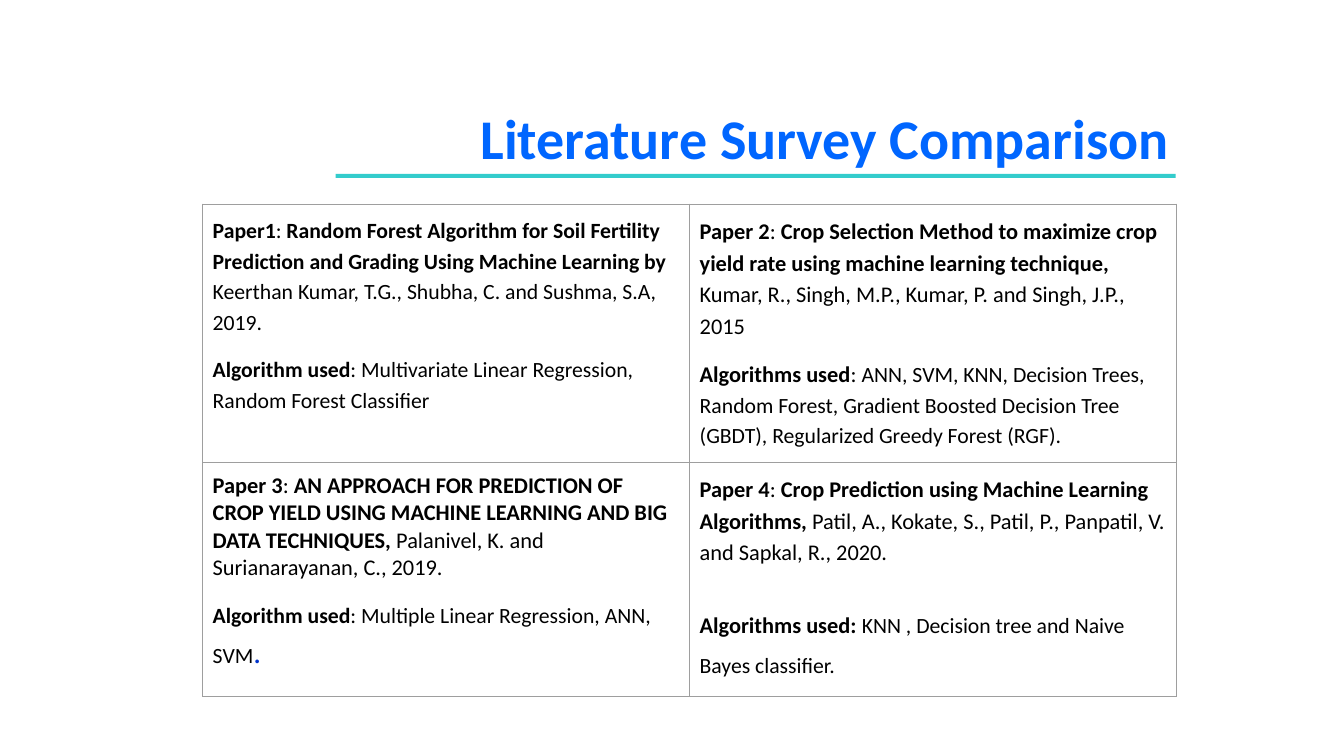
from lxml import etree
from pptx import Presentation
from pptx import util as u
from pptx.dml.color import RGBColor
from pptx.enum import shapes, text
from pptx.oxml.ns import qn

WIDTH, HEIGHT = 13.33, 7.5
FONT = "Calibri"
COLORS = {"title": "0066FF", "rule": "33CCCC", "text": "000000",
          "border": "9E9E9E", "stop": "0033CC"}

# Each paragraph: line spacing, space before, size, runs of (text, bold[, size[, colour]])
PAPERS = [
    [
        [
            (1.15, 0, 15.5, [
                ("Paper1", True), (":", False),
                (" Random Forest Algorithm for Soil Fertility Prediction and Grading "
                 "Using Machine Learning by ", True),
                ("Keerthan Kumar, T.G., Shubha, C. and Sushma, S.A, 2019.", False)]),
            (1.15, 12, 15.5, [
                ("Algorithm used", True),
                (": Multivariate Linear Regression, Random Forest Classifier", False)]),
        ],
        [
            (1.15, 0, 16, [
                ("Paper 2", True), (": ", False),
                ("Crop Selection Method to maximize crop yield rate using machine "
                 "learning technique, ", True),
                ("Kumar, R., Singh, M.P., Kumar, P. and Singh, J.P., 2015", False)]),
            (1.15, 12, 16, [
                ("Algorithms used", True), (": ", False),
                ("ANN, SVM, KNN, Decision Trees, Random Forest, Gradient Boosted Decision "
                 "Tree (GBDT), Regularized Greedy Forest (RGF).", False, 15.5)]),
        ],
    ],
    [
        [
            (1, 0, 16, [
                ("Paper 3", True), (":", False),
                (" AN APPROACH FOR PREDICTION OF CROP YIELD USING MACHINE LEARNING AND "
                 "BIG DATA TECHNIQUES, ", True),
                ("Palanivel, K. and Surianarayanan, C., 2019.", False)]),
            (1.15, 12, 15.5, [
                ("Algorithm used", True),
                (": Multiple Linear Regression, ANN, SVM", False),
                (".", False, 22, "stop")]),
        ],
        [
            (1.15, 0, 16, [
                ("Paper 4", True), (": ", False),
                ("Crop Prediction using Machine Learning Algorithms, ", True),
                ("Patil, A., Kokate, S., Patil, P., Panpatil, V. and Sapkal, R., 2020.",
                 False)]),
            (1.5, 22.4, 16, [
                ("Algorithms used: ", True),
                ("KNN , Decision tree and Naive Bayes classifier.", False, 15.5)]),
        ],
    ],
]


def color(name):
    """Return the named colour."""
    return RGBColor.from_string(COLORS[name])


def style_font(font, size, name):
    """Set typeface, size and colour of a font."""
    font.name, font.size = FONT, u.Pt(size)
    font.color.rgb = color(name)


def add_title(slide, left, top, width, height):
    """Place the right-aligned title and the rule under it."""
    box = slide.shapes.add_textbox(*map(u.Inches, (left, top, width, height * 2 / 3)))
    box.text_frame.word_wrap = True
    paragraph = box.text_frame.paragraphs[0]
    paragraph.text = "Literature Survey Comparison"
    paragraph.alignment = text.PP_ALIGN.RIGHT
    style_font(paragraph.font, 40, "title")
    paragraph.font.bold = True
    rule_width = WIDTH * 0.625
    rule = slide.shapes.add_shape(
        shapes.MSO_SHAPE.RECTANGLE,
        *map(u.Inches, (left + width - 0.03 - rule_width, top + height, rule_width, 0.04)))
    rule.shadow.inherit = False
    rule.fill.solid()
    rule.fill.fore_color.rgb = color("rule")
    rule.line.fill.background()


def add_borders(cell):
    """Draw a thin line on all four sides of a cell."""
    properties = cell._tc.get_or_add_tcPr()
    for index, side in enumerate(("lnL", "lnR", "lnT", "lnB")):
        line = etree.Element(qn(f"a:{side}"), w=str(u.Pt(0.75)))
        fill = etree.SubElement(line, qn("a:solidFill"))
        etree.SubElement(fill, qn("a:srgbClr"), val=COLORS["border"])
        properties.insert(index, line)


def fill_cell(cell, paragraphs):
    """Write the paragraphs of one paper into a cell."""
    cell.margin_left = cell.margin_right = u.Inches(0.1)
    cell.margin_top = cell.margin_bottom = u.Inches(0.1)
    cell.fill.background()
    add_borders(cell)
    frame = cell.text_frame
    for index, (spacing, before, size, runs) in enumerate(paragraphs):
        paragraph = frame.add_paragraph() if index else frame.paragraphs[0]
        paragraph.line_spacing = float(spacing)
        paragraph.space_before = u.Pt(before)
        style_font(paragraph.font, size, "text")
        for words, bold, *changes in runs:
            run = paragraph.add_run()
            run.text = words
            run.font.bold = bold
            if changes:
                run.font.size = u.Pt(changes[0])
            if len(changes) > 1:
                run.font.color.rgb = color(changes[1])


def add_papers(slide, left, top, width, row_heights):
    """Place the table of papers."""
    rows, columns = len(PAPERS), len(PAPERS[0])
    frame = slide.shapes.add_table(
        rows, columns, *map(u.Inches, (left, top, width, sum(row_heights))))
    table = frame.table
    table.first_row = table.horz_banding = False
    for row, height, papers in zip(table.rows, row_heights, PAPERS):
        row.height = u.Inches(height)
        for cell, paragraphs in zip(row.cells, papers):
            fill_cell(cell, paragraphs)


def main():
    """Build and save the slide."""
    presentation = Presentation()
    presentation.slide_width = u.Inches(WIDTH)
    presentation.slide_height = u.Inches(HEIGHT)
    slide = presentation.slides.add_slide(presentation.slide_layouts[6])
    add_title(slide, 3.92, HEIGHT * 0.13, 7.77, HEIGHT * 0.1)
    add_papers(slide, 2.01, HEIGHT * 0.27, 9.66, (2.56, 2.32))
    presentation.save("out.pptx")


if __name__ == "__main__":
    main()
